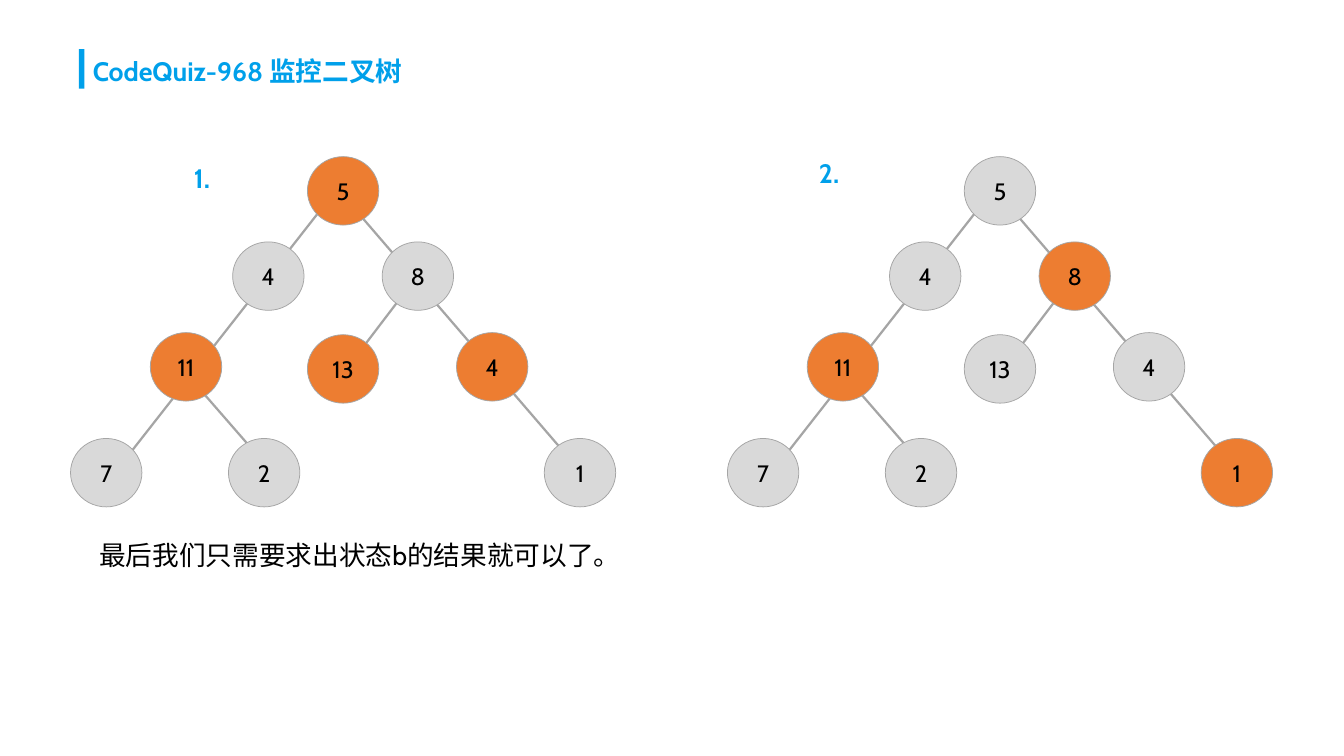
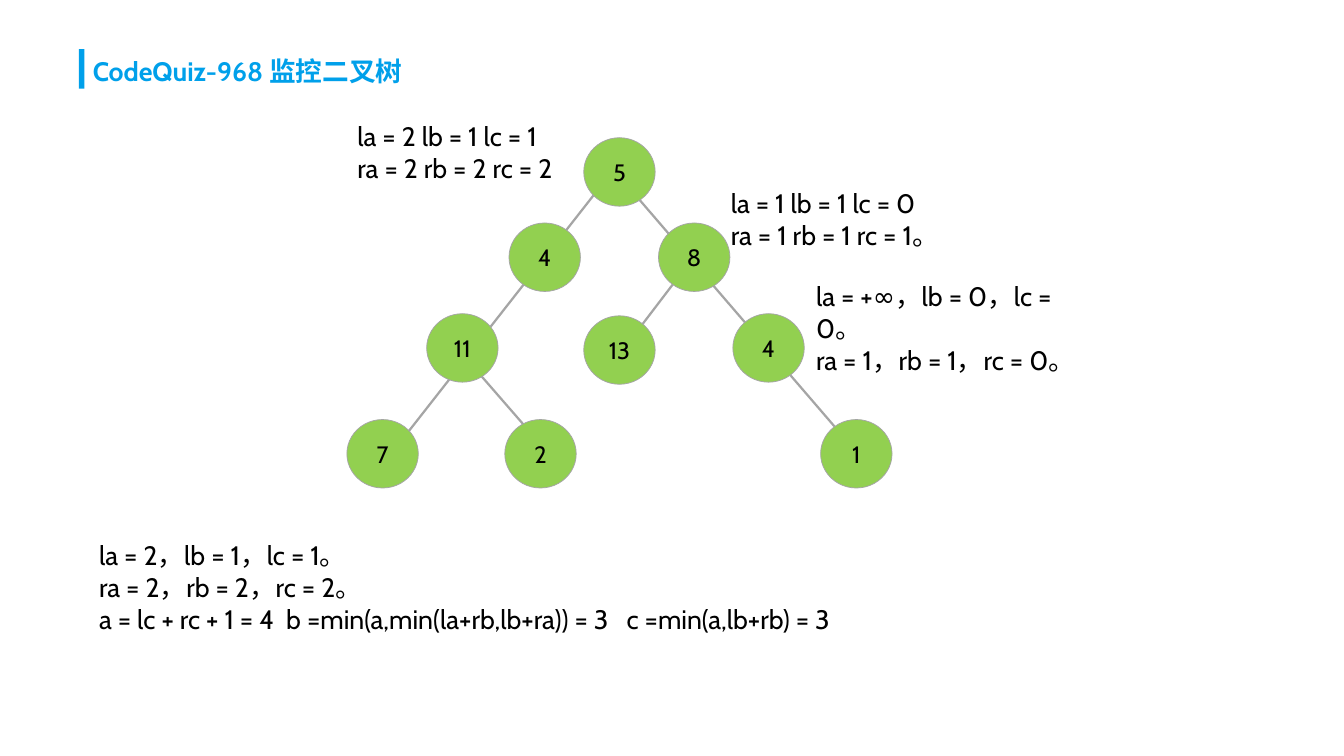
import pptx
import pptx.util
import pptx.dml.color
import pptx.enum.shapes
import pptx.enum.text
import pptx.oxml.ns
import lxml.etree

Cm = pptx.util.Cm
Pt = pptx.util.Pt

COLORS = {
    "accent": "00A0EA",
    "text": "000000",
    "branch": "A5A5A5",
    "plain": "D9D9D9",
    "camera": "ED7D31",
    "visited": "92D050",
}
FONT = "Cabin"
TITLE = "CodeQuiz-968 监控二叉树"
NODE_WIDTH, NODE_HEIGHT = 1.7, 1.63
NODES = {
    "root": ("5", 5.64, 0),
    "left": ("4", 3.86, 2.03),
    "right": ("8", 7.42, 2.03),
    "left_left": ("11", 1.9, 4.19),
    "right_left": ("13", 5.64, 4.24),
    "right_right": ("4", 9.19, 4.19),
    "leaf_7": ("7", 0, 6.71),
    "leaf_2": ("2", 3.76, 6.71),
    "leaf_1": ("1", 11.28, 6.71),
}
BRANCHES = [
    (4.78, 7.49, 2.84, 5.26),
    (6.45, 5.21, 8.08, 3.07),
    (12.14, 7.49, 6.53, 0.97),
    (0.86, 7.77, 6.35, 0.76),
]


def rgb(name):
    """Return the named colour."""
    return pptx.dml.color.RGBColor.from_string(COLORS[name])


def style_text(frame, size, color="text", bold=False):
    """Format every run of a text frame."""
    for paragraph in frame.paragraphs:
        for run in paragraph.runs:
            run.font.name = FONT
            run.font.size = Pt(size)
            run.font.bold = bold
            run.font.color.rgb = rgb(color)


def add_text(slide, left, top, width, height, text, color="text", bold=False):
    """Add a wrapped text box at 18 points."""
    box = slide.shapes.add_textbox(Cm(left), Cm(top), Cm(width), Cm(height))
    box.text_frame.word_wrap = True
    box.text_frame.text = text
    style_text(box.text_frame, 18, color, bold)


def add_shape(slide, kind, left, top, width, height, fill):
    """Add a filled preset shape without shadow."""
    shape = slide.shapes.add_shape(kind, Cm(left), Cm(top), Cm(width), Cm(height))
    shape.shadow.inherit = False
    shape.fill.solid()
    shape.fill.fore_color.rgb = rgb(fill)
    return shape


def add_branch(slide, x1, y1, x2, y2):
    """Draw a line joining tree nodes."""
    branch = slide.shapes.add_connector(
        pptx.enum.shapes.MSO_CONNECTOR.STRAIGHT, Cm(x1), Cm(y1), Cm(x2), Cm(y2))
    branch.line.color.rgb = rgb("branch")
    branch.line.width = Pt(1.5)
    lxml.etree.SubElement(branch._element.spPr, pptx.oxml.ns.qn("a:effectLst"))


def add_node(slide, left, top, value, fill):
    """Draw one tree node with its value."""
    node = add_shape(slide, pptx.enum.shapes.MSO_SHAPE.OVAL,
                     left, top, NODE_WIDTH, NODE_HEIGHT, fill)
    node.line.color.rgb = rgb("branch")
    node.line.width = Pt(0.5)
    frame = node.text_frame
    frame.margin_left = frame.margin_right = 0
    frame.vertical_anchor = pptx.enum.text.MSO_ANCHOR.MIDDLE
    frame.text = value
    frame.paragraphs[0].alignment = pptx.enum.text.PP_ALIGN.CENTER
    style_text(frame, 16)


def add_tree(slide, left, top, fill, cameras=()):
    """Draw the binary tree from its top left corner, cameras highlighted."""
    for x1, y1, x2, y2 in BRANCHES:
        add_branch(slide, left + x1, top + y1, left + x2, top + y2)
    for key, (value, x, y) in NODES.items():
        add_node(slide, left + x, top + y, value, "camera" if key in cameras else fill)


def add_titled_slide(deck):
    """Add a blank slide with the accent bar and title."""
    slide = deck.slides.add_slide(deck.slide_layouts[6])
    bar = add_shape(slide, pptx.enum.shapes.MSO_SHAPE.RECTANGLE,
                    1.88, 1.17, 0.13, 0.94, "accent")
    bar.line.fill.background()
    add_text(slide, 1.96, 1.17, 15.98, 1.02, TITLE, "accent", True)
    return slide


def build_placements(deck):
    """Compare two camera placements on the same tree."""
    slide = add_titled_slide(deck)
    add_tree(slide, 1.68, 3.73, "plain",
             ("root", "left_left", "right_left", "right_right"))
    add_tree(slide, 17.32, 3.73, "plain", ("right", "left_left", "leaf_1"))
    add_text(slide, 4.37, 3.73, 1.1, 1.02, "1.", "accent", True)
    add_text(slide, 19.25, 3.61, 1.1, 1.02, "2.", "accent", True)
    add_text(slide, 2.11, 12.7, 15, 1.02, "最后我们只需要求出状态b的结果就可以了。")


def build_states(deck):
    """Show the states computed at each node."""
    slide = add_titled_slide(deck)
    add_tree(slide, 8.26, 3.28, "visited")
    add_text(slide, 8.26, 2.74, 5.84, 1.8,
             "la = 2 lb = 1 lc = 1\nra = 2 rb = 2 rc = 2")
    add_text(slide, 2.11, 12.7, 21.11, 2.57,
             "la = 2，lb = 1，lc = 1。\nra = 2，rb = 2，rc = 2。\n"
             "a = lc + rc + 1 = 4  b =min(a,min(la+rb,lb+ra)) = 3   c =min(a,lb+rb) = 3")
    add_text(slide, 17.15, 4.32, 6.48, 1.8,
             "la = 1 lb = 1 lc = 0\nra = 1 rb = 1 rc = 1。")
    add_text(slide, 19.18, 6.53, 7.21, 1.8,
             "la = +∞，lb = 0，lc = 0。\nra = 1，rb = 1，rc = 0。")


def main():
    """Build and save the deck."""
    deck = pptx.Presentation()
    deck.slide_width, deck.slide_height = Cm(32), Cm(18)
    build_placements(deck)
    build_states(deck)
    deck.save("out.pptx")


if __name__ == "__main__":
    main()
